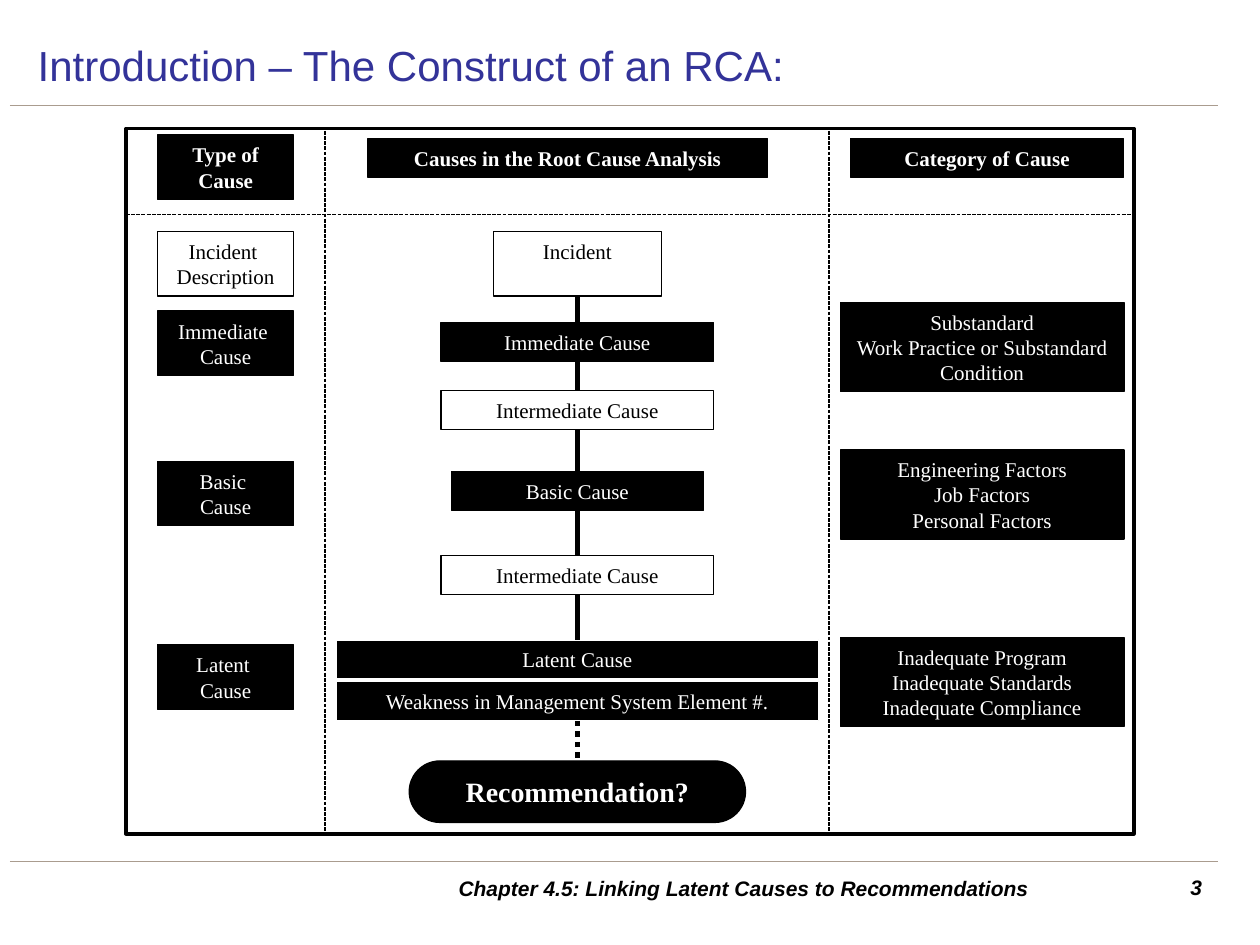
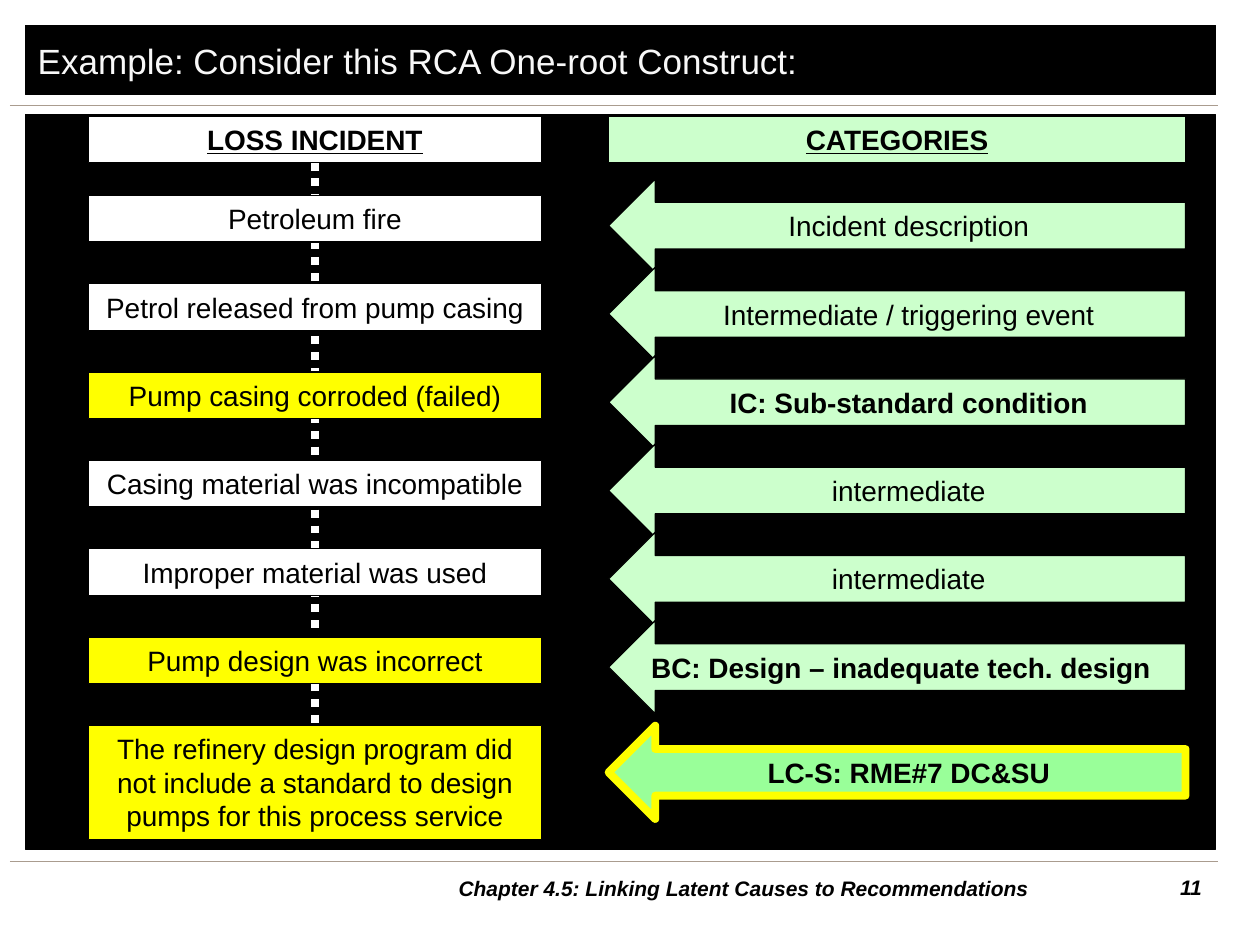
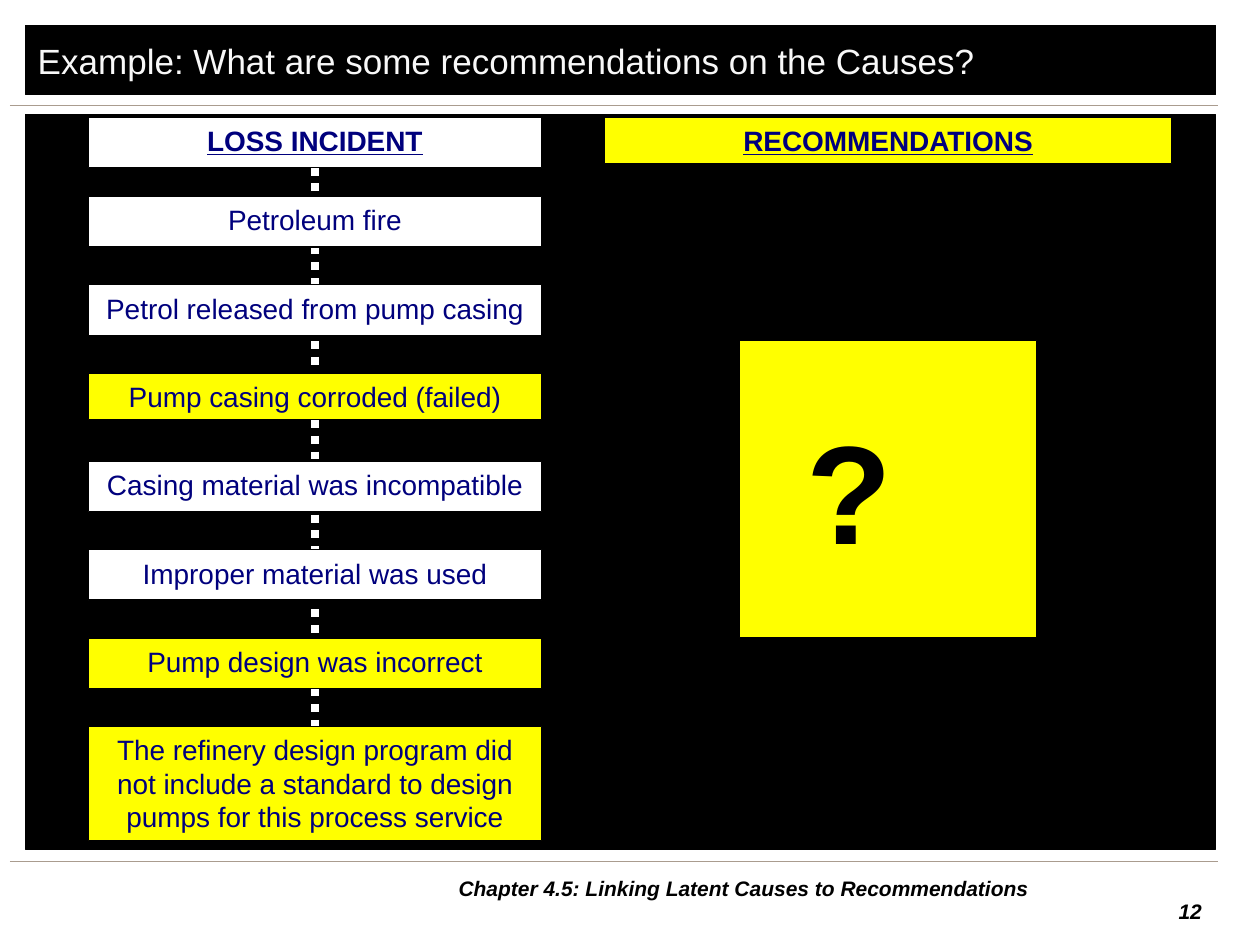
"""Build three slides on linking latent causes to recommendations."""
from lxml import etree
from pptx import Presentation
from pptx.dml.color import RGBColor
from pptx.enum.dml import MSO_LINE
from pptx.enum.shapes import MSO_CONNECTOR, MSO_SHAPE
from pptx.enum.text import MSO_ANCHOR, MSO_AUTO_SIZE, PP_ALIGN
from pptx.oxml.ns import qn
from pptx.util import Cm, Pt

RECT, ROUND, ARROW = MSO_SHAPE.RECTANGLE, MSO_SHAPE.ROUNDED_RECTANGLE, MSO_SHAPE.LEFT_ARROW
STRAIGHT = MSO_CONNECTOR.STRAIGHT
DOT, DASH = MSO_LINE.ROUND_DOT, MSO_LINE.SQUARE_DOT
LEFT, CENTER, RIGHT = PP_ALIGN.LEFT, PP_ALIGN.CENTER, PP_ALIGN.RIGHT
TOP, MIDDLE = MSO_ANCHOR.TOP, MSO_ANCHOR.MIDDLE
NO_FIT = MSO_AUTO_SIZE.NONE
BOTTOM_SIDE, TOP_SIDE = 2, 0

BLACK, WHITE, OFF_WHITE, YELLOW = "000000", "FFFFFF", "F8F8F8", "FFFF00"
MINT, GREEN, BLUE, NAVY, TAUPE = "CCFFCC", "99FF99", "333399", "00007D", "AA9C8F"
SANS, SERIF = "Arial", "Times New Roman"
FOOTER = "Chapter 4.5: Linking Latent Causes to Recommendations"
ROW_PITCH = 1.78
HEADING_HEIGHT = 0.94

CAUSE_CHAIN = [
    ("Petroleum fire", WHITE),
    ("Petrol released from pump casing", WHITE),
    ("Pump casing corroded (failed)", YELLOW),
    ("Casing material was incompatible", WHITE),
    ("Improper material was used", WHITE),
    ("Pump design was incorrect", YELLOW),
    ("The refinery design program did not include a standard to design pumps "
     "for this process service", YELLOW),
]


def color(value):
    """Turn a hex string into a colour."""
    return RGBColor.from_string(value)


def write(frame, text, size=16, font=SANS, ink=BLACK, bold=False, italic=False,
          underline=False, align=CENTER, anchor=TOP, extra_right=0):
    """Fill a text frame, one paragraph for each line of text."""
    frame.word_wrap = True
    frame.auto_size = NO_FIT
    frame.vertical_anchor = anchor
    frame.margin_left = Cm(0.25)
    frame.margin_right = Cm(0.25 + extra_right)
    frame.margin_top = frame.margin_bottom = Cm(0.13)
    for index, line in enumerate(text.split("\n")):
        para = frame.add_paragraph() if index else frame.paragraphs[0]
        para.alignment = align
        span = para.add_run()
        span.text = line
        span.font.name = font
        span.font.size = Pt(size)
        span.font.bold = bold
        span.font.italic = italic
        span.font.underline = underline
        span.font.color.rgb = color(ink)


class Pages:
    """Hold the deck, its shared style and the current slide."""

    def __init__(self):
        """Start an empty deck."""
        self.deck = Presentation()
        self.deck.slide_width, self.deck.slide_height = Cm(25.4), Cm(19.05)
        self.page = None

    def start(self, title, number, banner=True, number_top=17.5):
        """Add a slide with its title, rules, footer and number."""
        self.page = self.deck.slides.add_slide(self.deck.slide_layouts[5])
        box = self.page.shapes.title
        box.left, box.top = Cm(0.51), Cm(0.51 if banner else 0.61)
        box.width, box.height = Cm(24), Cm(1.4)
        if banner:
            self.paint(box, BLACK, BLACK, 0.75)
        write(box.text_frame, title, size=20 if banner else 24,
              ink=OFF_WHITE if banner else BLUE, align=LEFT, anchor=MIDDLE)
        for height in (2.12, 17.36):
            self.line(0.2, height, 24.56, height, TAUPE)
        if banner:
            self.box(0.51, 2.31, 24, 14.81, BLACK)
        self.label(23.01, number_top, 1.47, 0.79, number, align=RIGHT)
        self.label(7.49, 17.5, 15.01, 0.79, FOOTER, anchor=MIDDLE)

    def paint(self, shape, fill, edge, weight):
        """Set the fill and outline of a shape."""
        shape.fill.solid()
        shape.fill.fore_color.rgb = color(fill)
        shape.line.color.rgb = color(edge)
        shape.line.width = Pt(weight)

    def label(self, left, top, width, height, text, **style):
        """Add footer text."""
        box = self.page.shapes.add_textbox(Cm(left), Cm(top), Cm(width), Cm(height))
        write(box.text_frame, text, size=12, bold=True, italic=True, **style)

    def box(self, left, top, width, height, fill, text="", kind=RECT,
            edge=BLACK, weight=0.75, **style):
        """Add a filled shape, with text if given."""
        shape = self.page.shapes.add_shape(kind, Cm(left), Cm(top), Cm(width), Cm(height))
        shape.shadow.inherit = False
        self.paint(shape, fill, edge, weight)
        if text:
            write(shape.text_frame, text, **style)
        return shape

    def cause(self, left, top, width, height, text, dark=True, **style):
        """Add a black or white box with serif text."""
        style = {"size": 12, "anchor": MIDDLE, **style}
        return self.box(left, top, width, height, BLACK if dark else WHITE, text,
                        font=SERIF, ink=WHITE if dark else BLACK, **style)

    def line(self, x1, y1, x2, y2, ink=BLACK, weight=0.75, dash=None):
        """Add a straight line."""
        line = self.page.shapes.add_connector(STRAIGHT, Cm(x1), Cm(y1), Cm(x2), Cm(y2))
        line.line.color.rgb = color(ink)
        line.line.width = Pt(weight)
        if dash:
            line.line.dash_style = dash
        etree.SubElement(line._element.spPr, qn("a:effectLst"))
        return line

    def join(self, line, upper, lower):
        """Tie a line to the box above and the box below."""
        line.begin_connect(upper, BOTTOM_SIDE)
        line.end_connect(lower, TOP_SIDE)

    def loss_chain(self, top, heights, ink):
        """Stack the loss incident boxes over one dotted line."""
        left, width = 1.78, 9.14
        line = self.line(left, top, left, top, WHITE, 4.5, DOT)
        heading = self.box(left, top, width, heights[0], WHITE, "LOSS INCIDENT",
                           ink=ink, bold=True, underline=True)
        for row, (text, fill) in enumerate(CAUSE_CHAIN):
            last = self.box(left, top + 1.6 + row * ROW_PITCH, width, heights[row + 1],
                            fill, text, ink=ink)
        self.join(line, heading, last)


def construct_slide(pages):
    """Draw the general cause diagram."""
    pages.start("Introduction – The Construct of an RCA:", "3", banner=False)
    pages.box(2.54, 2.59, 20.32, 14.22, WHITE, weight=2)
    for x in (6.55, 16.71):
        pages.line(x, 2.64, x, 16.81, dash=DASH)
    pages.line(2.54, 4.32, 22.86, 4.32, dash=DASH)

    pages.cause(3.18, 2.72, 2.74, 1.3, "Type of Cause", bold=True)
    pages.cause(7.42, 2.79, 8.05, 0.79, "Causes in the Root Cause Analysis", bold=True)
    pages.cause(17.15, 2.79, 5.5, 0.79, "Category of Cause", bold=True)

    for top, text, dark in [
        (4.67, "Incident \nDescription", False),
        (6.27, "Immediate \nCause", True),
        (9.3, "Basic \nCause", True),
        (13, "Latent \nCause", True),
    ]:
        pages.cause(3.18, top, 2.74, 1.3, text, dark)

    for top, text in [
        (6.1, "Substandard\nWork Practice or Substandard Condition"),
        (9.07, "Engineering Factors\nJob Factors\nPersonal Factors"),
        (12.85, "Inadequate Program\nInadequate Standards\nInadequate Compliance"),
    ]:
        pages.cause(16.94, top, 5.72, 1.8, text)

    middle = 11.64
    steps = [pages.cause(middle - 1.69, 4.67, 3.38, 1.3, "Incident", False, anchor=TOP)]
    for top, width, text, dark, edge in [
        (6.5, 5.5, "Immediate Cause", True, BLACK),
        (7.87, 5.5, "Intermediate Cause", False, BLACK),
        (9.5, 5.08, "Basic Cause", True, BLACK),
        (11.2, 5.5, "Intermediate Cause", False, BLACK),
        (12.9, 9.73, "Latent Cause", True, WHITE),
        (13.74, 9.73, "Weakness in Management System Element #.", True, WHITE),
    ]:
        steps.append(pages.cause(middle - width / 2, top, width, 0.79, text, dark, edge=edge))
    *causes, weakness = steps
    for upper, lower in zip(causes, causes[1:]):
        pages.join(pages.line(middle, 5, middle, 6, weight=3), upper, lower)
    advice = pages.cause(middle - 3.39, 15.34, 6.78, 1.24, "Recommendation?",
                         kind=ROUND, size=16, bold=True)
    advice.adjustments[0] = 0.5
    pages.join(pages.line(middle, 14, middle, 15, weight=3, dash=DOT), weakness, advice)


def categories_slide(pages):
    """Set each cause against its category."""
    pages.start("Example: Consider this RCA One-root Construct:", "11")
    pages.loss_chain(2.34, [HEADING_HEIGHT] * 7 + [2.31], BLACK)
    left, width, height = 12.27, 11.63, 1.88
    pages.box(left, 2.34, width, HEADING_HEIGHT, MINT, "CATEGORIES", bold=True, underline=True)
    for row, (text, bold, extra) in enumerate([
        ("Incident description", False, 0),
        ("Intermediate / triggering event", False, 0),
        ("IC: Sub-standard condition", True, 0),
        ("intermediate", False, 0),
        ("intermediate", False, 0),
        ("BC: Design – inadequate tech. design", True, 0.31),
    ]):
        pages.box(left, 3.61 + row * ROW_PITCH, width, height, MINT, text, kind=ARROW,
                  bold=bold, extra_right=extra)
    pages.box(left, 14.63, width, height, GREEN, "LC-S: RME#7 DC&SU", kind=ARROW,
              edge=YELLOW, weight=4.5, bold=True)


def recommendations_slide(pages):
    """Ask for recommendations on the causes."""
    pages.start("Example: What are some recommendations on the Causes?", "12", number_top=17.98)
    pages.loss_chain(2.36, [1.02] * 3 + [0.94] + [1.02] * 3 + [2.31], NAVY)
    pages.box(12.19, 2.36, 11.43, HEADING_HEIGHT, YELLOW, "RECOMMENDATIONS",
              ink=NAVY, bold=True, underline=True)
    pages.box(14.91, 6.86, 5.99, 5.99, YELLOW, "?", size=80, bold=True,
              anchor=MIDDLE, extra_right=1.57)


def main():
    """Build and save the deck."""
    pages = Pages()
    construct_slide(pages)
    categories_slide(pages)
    recommendations_slide(pages)
    pages.deck.save("out.pptx")


if __name__ == "__main__":
    main()
